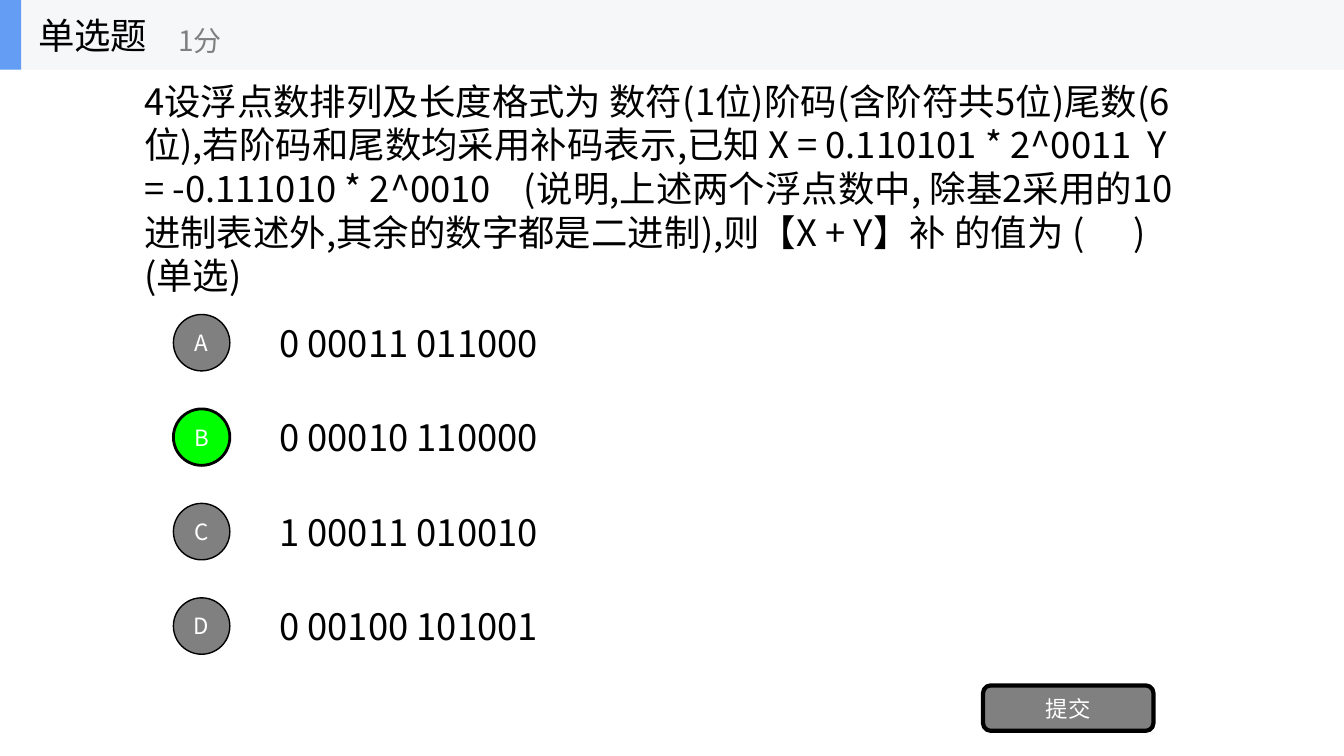
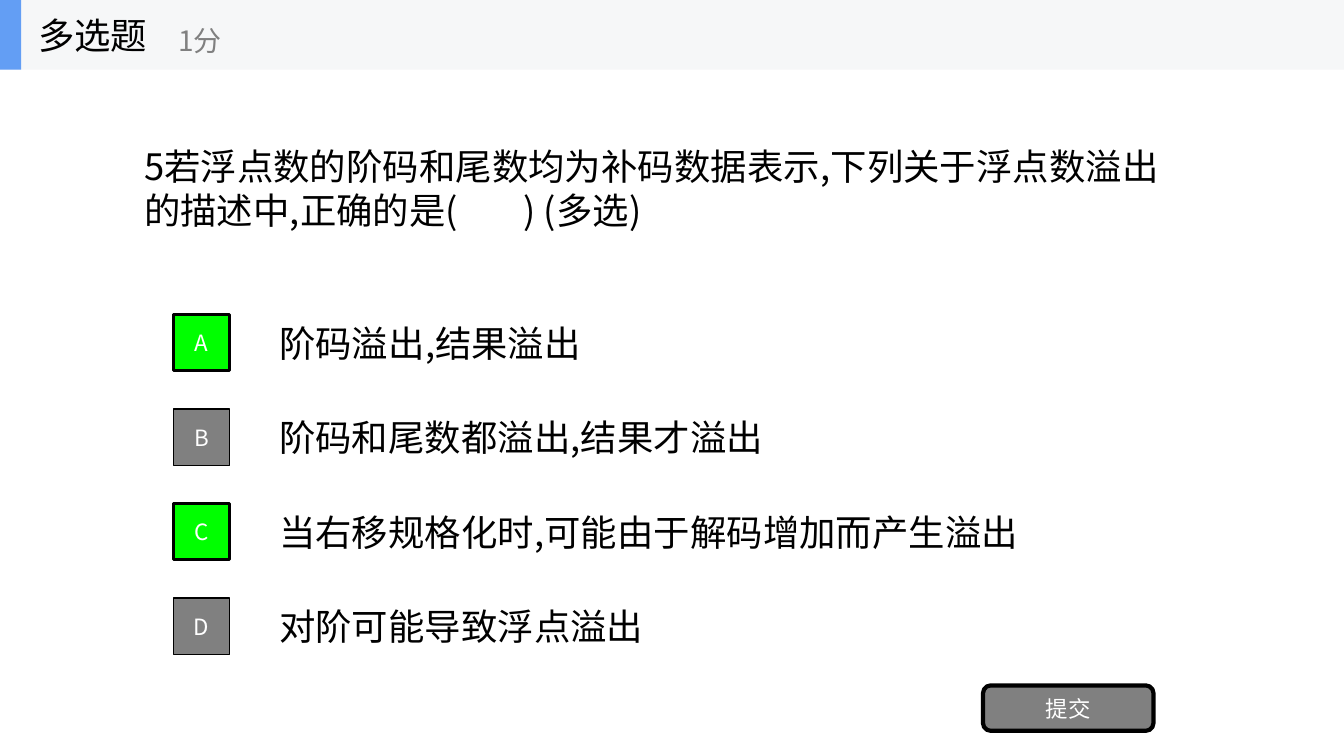
import pptx
import pptx.util
import pptx.dml.color
import pptx.enum.shapes
import pptx.enum.text
import pptx.oxml
import pptx.oxml.ns

Inches = pptx.util.Inches
KIND = pptx.enum.shapes.MSO_SHAPE
ALIGN = pptx.enum.text.PP_ALIGN
FIT = pptx.enum.text.MSO_AUTO_SIZE

FACE = "Noto Sans CJK SC"
BLACK, WHITE, GRAY, GREEN = "000000", "FFFFFF", "808080", "00FF00"
BAND, BLUE = "F6F7F8", "639EF4"
SIZE = (13.33, 7.5)
HEAD = 0.69
BODY = {"size": 26, "color": BLACK}
NOTE = {"size": 20, "color": GRAY}
MARK = {"size": 16, "color": WHITE}
TOP, STEP, DISC, ROW = 3.4, 0.937, 0.56, 0.53

QUIZ = [
    {
        "title": "单选题",
        "score": "1分",
        "ask": "4设浮点数排列及长度格式为 数符(1位)阶码(含阶符共5位)尾数(6位),"
               "若阶码和尾数均采用补码表示,已知 X = 0.110101 * 2^0011  "
               "Y = -0.111010 * 2^0010    (说明,上述两个浮点数中, "
               "除基2采用的10进制表述外,其余的数字都是二进制),"
               "则【X + Y】补 的值为 (      ) (单选)",
        "box": (1.33, 0.73, 10.59, 2.27),
        "kind": KIND.OVAL,
        "right": "B",
        "picks": [("0 00011 011000", 3.06), ("0 00010 110000", 3.06),
                  ("1 00011 010010", 3.06), ("0 00100 101001", 3.06)],
    },
    {
        "title": "多选题",
        "score": "1分",
        "ask": "5若浮点数的阶码和尾数均为补码数据表示,"
               "下列关于浮点数溢出的描述中,正确的是(        ) (多选)",
        "box": (1.33, 1.38, 10.61, 0.97),
        "kind": KIND.RECTANGLE,
        "right": "AC",
        "picks": [("阶码溢出,结果溢出", 3.28),
                  ("阶码和尾数都溢出,结果才溢出", 5.09),
                  ("当右移规格化时,可能由于解码增加而产生溢出", 7.62),
                  ("对阶可能导致浮点溢出", 3.92)],
    },
]


def paint(form, color):
    form.solid()
    form.fore_color.rgb = pptx.dml.color.RGBColor.from_string(color)


def write(shape, text, style, align=ALIGN.LEFT, fit=FIT.NONE):
    frame = shape.text_frame
    format = {"word_wrap": True, "auto_size": fit,
              "vertical_anchor": pptx.enum.text.MSO_ANCHOR.MIDDLE}
    for key, value in format.items():
        setattr(frame, key, value)
    para = frame.paragraphs[0]
    para.alignment = align
    run = para.add_run()
    run.text = text
    for key, value in {"name": FACE, "size": pptx.util.Pt(style["size"])}.items():
        setattr(run.font, key, value)
    paint(run.font.fill, style["color"])
    east = pptx.oxml.parse_xml(
        f'<a:ea {pptx.oxml.ns.nsdecls("a")} typeface="{FACE}"/>')
    run.font._element.append(east)


def label(shapes, box, text, style, fit=FIT.NONE):
    write(shapes.add_textbox(*map(Inches, box)), text, style, fit=fit)


def block(shapes, kind, box, color, width=0):
    shape = shapes.add_shape(kind, *map(Inches, box))
    shape.shadow.inherit = False
    paint(shape.fill, color)
    if width:
        paint(shape.line.fill, BLACK)
        shape.line.width = pptx.util.Pt(width)
    else:
        shape.line.fill.background()
    return shape


def header(slide, title, score):
    shapes = slide.shapes.add_group_shape().shapes
    block(shapes, KIND.RECTANGLE, (0, 0, SIZE[0], HEAD), BAND)
    block(shapes, KIND.RECTANGLE, (0, 0, 0.21, HEAD), BLUE)
    label(shapes, (0.28, 0, 2.08, HEAD), title, BODY)
    label(shapes, (1.67, 0.12, 2.5, 0.56), score, NOTE)


def choices(slide, quiz):
    for row, (text, width) in enumerate(quiz["picks"]):
        mid = TOP + row * STEP
        letter = "ABCD"[row]
        good = letter in quiz["right"]
        label(slide.shapes, (2.67, mid - ROW / 2, width, ROW), text, BODY,
              FIT.SHAPE_TO_FIT_TEXT)
        mark = block(slide.shapes, quiz["kind"],
                     (1.72, mid - DISC / 2, DISC, DISC),
                     GREEN if good else GRAY, 2 if good else 1)
        write(mark, letter, MARK, ALIGN.CENTER)


def main():
    """Build the quiz slides."""
    deck = pptx.Presentation()
    deck.slide_width, deck.slide_height = map(Inches, SIZE)
    for quiz in QUIZ:
        slide = deck.slides.add_slide(deck.slide_layouts[6])
        paint(slide.background.fill, WHITE)
        label(slide.shapes, quiz["box"], quiz["ask"], BODY,
              FIT.SHAPE_TO_FIT_TEXT)
        choices(slide, quiz)
        send = block(slide.shapes, KIND.ROUNDED_RECTANGLE,
                     (9.75, 6.8, 1.69, 0.45), GRAY, 3)
        write(send, "提交", MARK, ALIGN.CENTER)
        header(slide, quiz["title"], quiz["score"])
    deck.save("out.pptx")


if __name__ == "__main__":
    main()
